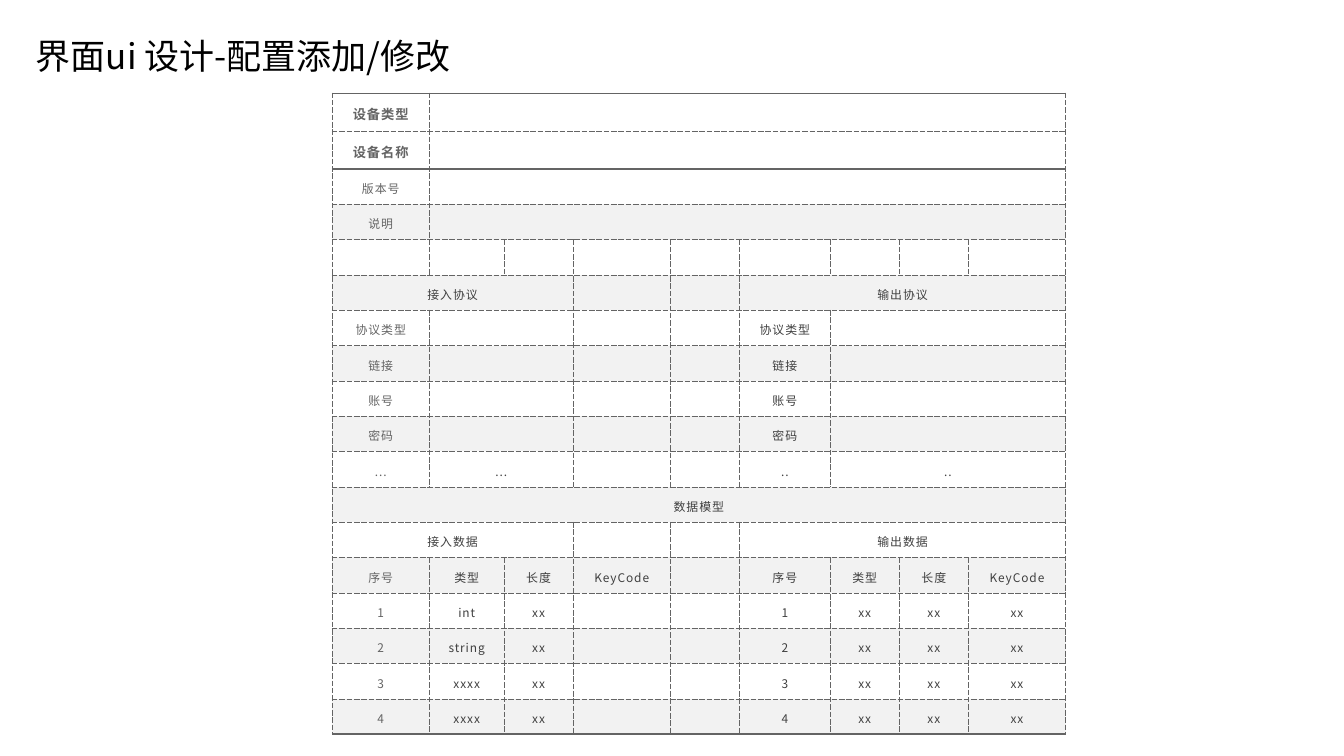
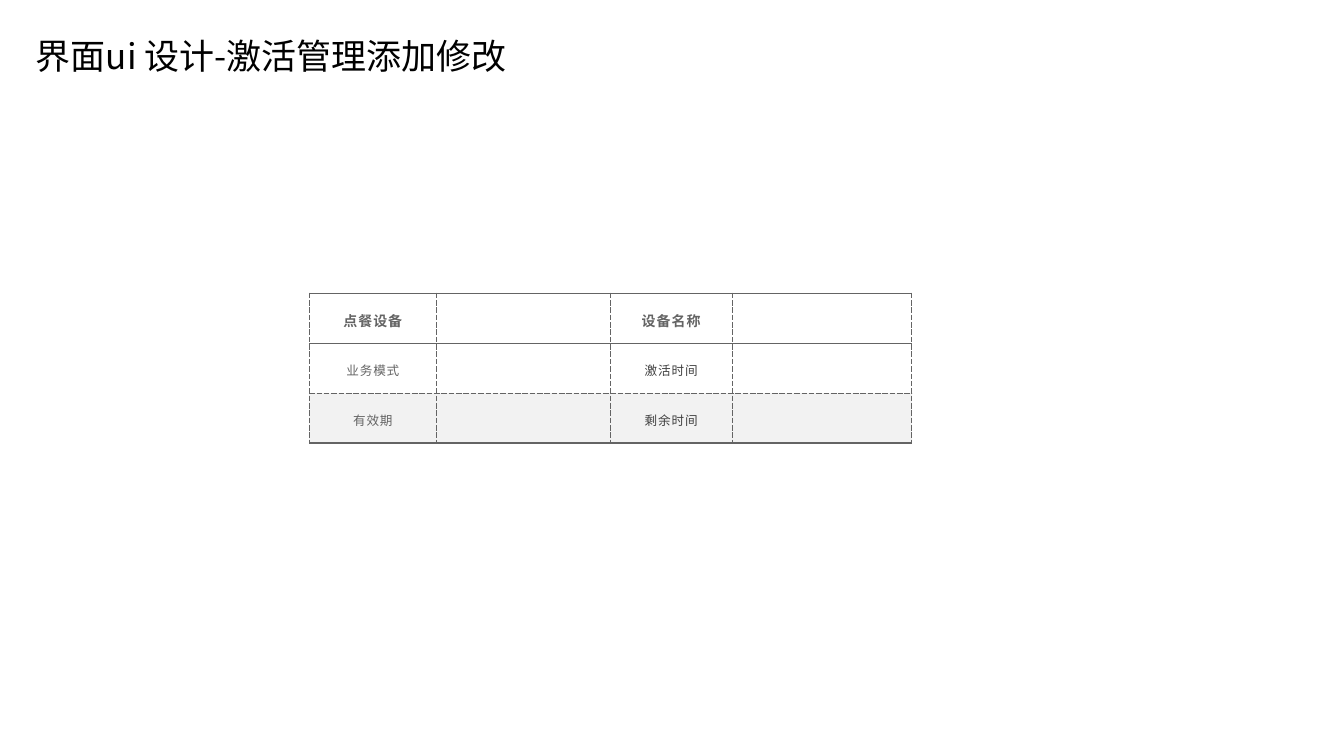
from lxml import etree
from pptx import Presentation
from pptx.dml.color import RGBColor
from pptx.enum.text import MSO_ANCHOR, MSO_AUTO_SIZE, PP_ALIGN
from pptx.oxml.ns import qn
from pptx.util import Inches, Pt

TOP, MIDDLE = MSO_ANCHOR.TOP, MSO_ANCHOR.MIDDLE
LEFT, CENTER = PP_ALIGN.LEFT, PP_ALIGN.CENTER
GROW = MSO_AUTO_SIZE.SHAPE_TO_FIT_TEXT

BLACK = RGBColor(0x00, 0x00, 0x00)
WHITE = RGBColor(0xFF, 0xFF, 0xFF)
BAND = RGBColor(0xF2, 0xF2, 0xF2)
GREY = RGBColor(0x64, 0x64, 0x64)
DARK = RGBColor(0x40, 0x40, 0x40)

FONT = "Noto Sans CJK SC"
THIN, HEAVY = 0.75, 2.25
TITLE_SIZE, TITLE_LINE = 50, 60
LETTER_SPACING = 1.3
SPAN = "<"  # the cell joins the one on its left


class FormDeck:
    """Holds the form style and the page being filled; places are percent of the page."""

    def __init__(self, width, height):
        self.deck = Presentation()
        self.deck.slide_width = Inches(width)
        self.deck.slide_height = Inches(height)
        self.page = None

    def place(self, left, top, width, height):
        across, down = self.deck.slide_width / 100, self.deck.slide_height / 100
        return [int(share * side) for share, side in
                zip((left, top, width, height), (across, down, across, down))]

    def add_page(self, title, title_width):
        self.page = self.deck.slides.add_slide(self.deck.slide_layouts[5])
        box = self.page.shapes.title
        box.left, box.top, box.width, box.height = self.place(2.29, 3.87, title_width, 6.93)
        frame = box.text_frame
        frame.word_wrap = True
        frame.auto_size = GROW
        frame.vertical_anchor = TOP
        frame.margin_left = frame.margin_right = Inches(0.1)
        frame.margin_top = frame.margin_bottom = Inches(0.1)
        para = frame.paragraphs[0]
        para.alignment = LEFT
        para.line_spacing = Pt(TITLE_LINE)
        self.add_span(para, title, TITLE_SIZE, BLACK)

    def add_span(self, para, text, size, colour, bold=False, spacing=0):
        span = para.add_run()
        span.text = text
        span.font.size = Pt(size)
        span.font.bold = bold
        span.font.color.rgb = colour
        span.font.name = FONT
        properties = span.font._element
        etree.SubElement(properties, qn("a:ea")).set("typeface", FONT)
        if spacing:
            properties.set("spc", str(int(spacing * 100)))

    def add_form(self, place, columns, heights, rows, header_rows, sizes, insets):
        """Draw a form: bold header rows, banded body, heavy rules round both."""
        left, top, width, height = self.place(*place)
        table = self.page.shapes.add_table(
            len(rows), len(columns), left, top, width, height).table
        table.first_row = table.horz_banding = False
        for column, share in zip(table.columns, columns):
            column.width = int(width * share / sum(columns))
        for row, share in zip(table.rows, heights):
            row.height = int(height * share / sum(heights))

        heavy_edges = {0, header_rows, len(rows)}
        for r, texts in enumerate(rows):
            header = r < header_rows
            banded = not header and (r - header_rows) % 2 == 1
            for c, text in enumerate(texts):
                cell = table.cell(r, c)
                cell.fill.solid()
                cell.fill.fore_color.rgb = BAND if banded else WHITE
                self.add_borders(cell, r in heavy_edges, r + 1 in heavy_edges)
                if text == SPAN:
                    continue
                end = c + 1
                while end < len(texts) and texts[end] == SPAN:
                    end += 1
                if end > c + 1:
                    cell.merge(table.cell(r, end - 1))
                if text:
                    label = header or (c == 0 and end == 1)
                    self.fill_cell(cell, text, sizes[0] if header else sizes[1],
                                   GREY if label else DARK, header, insets)

    def fill_cell(self, cell, text, size, colour, bold, insets):
        cell.vertical_anchor = MIDDLE
        cell.margin_left = cell.margin_right = Inches(insets[0])
        cell.margin_top = cell.margin_bottom = Inches(insets[1])
        para = cell.text_frame.paragraphs[0]
        para.alignment = CENTER
        para.line_spacing = 1.2
        self.add_span(para, text, size, colour, bold, LETTER_SPACING)

    def add_borders(self, cell, heavy_top, heavy_bottom):
        properties = cell._tc.get_or_add_tcPr()
        sides = (("L", False), ("R", False), ("T", heavy_top), ("B", heavy_bottom))
        for position, (side, heavy) in enumerate(sides):
            line = etree.Element(qn("a:ln" + side))
            line.set("w", str(int(Pt(HEAVY if heavy else THIN))))
            fill = etree.SubElement(line, qn("a:solidFill"))
            etree.SubElement(fill, qn("a:srgbClr")).set("val", str(GREY))
            etree.SubElement(line, qn("a:prstDash")).set("val", "solid" if heavy else "sysDash")
            properties.insert(position, line)


def wide_row(label):
    return [label, ""] + [SPAN] * 7


def section_row(source, output):
    return [source, SPAN, SPAN, "", "", output, SPAN, SPAN, SPAN]


def protocol_row(label, value="", output_label=None, output_value=""):
    return [label, value, SPAN, "", "", output_label or label, output_value, SPAN, SPAN]


def data_row(number, kind):
    return [number, kind, "xx", "", "", number, "xx", "xx", "xx"]


def main():
    form = FormDeck(26.67, 15)

    form.add_page("界面ui 设计-配置添加/修改", 32.1)
    field_names = ["序号", "类型", "长度", "KeyCode"]
    config_rows = [
        *map(wide_row, ["设备类型", "设备名称", "版本号", "说明"]),
        [""] * 9,
        section_row("接入协议", "输出协议"),
        *map(protocol_row, ["协议类型", "链接", "账号", "密码"]),
        protocol_row("...", "...", "..", ".."),
        ["数据模型"] + [SPAN] * 8,
        section_row("接入数据", "输出数据"),
        field_names + [""] + field_names,
        *map(data_row, "1234", ["int", "string", "xxxx", "xxxx"]),
    ]
    form.add_form(
        place=(24.71, 12.33, 54.59, 84.8),
        columns=[1.93, 1.48, 1.37, 1.93, 1.37, 1.8, 1.37, 1.37, 1.93],
        heights=[0.75] * 2 + [0.7] * 16,
        rows=config_rows, header_rows=2, sizes=(19, 17), insets=(0.24, 0.14))

    form.add_page("界面ui 设计-激活管理添加修改", 36.18)
    activation_rows = [
        ["点餐设备", "", "设备名称", ""],
        ["业务模式", "", "激活时间", ""],
        ["有效期", "", "剩余时间", ""],
    ]
    form.add_form(
        place=(23.02, 38.8, 44.81, 19.8),
        columns=[2.52, 3.46, 2.41, 3.57],
        heights=[1, 0.98, 1],
        rows=activation_rows, header_rows=1, sizes=(20, 18), insets=(0.35, 0.24))

    form.deck.save("out.pptx")


if __name__ == "__main__":
    main()
